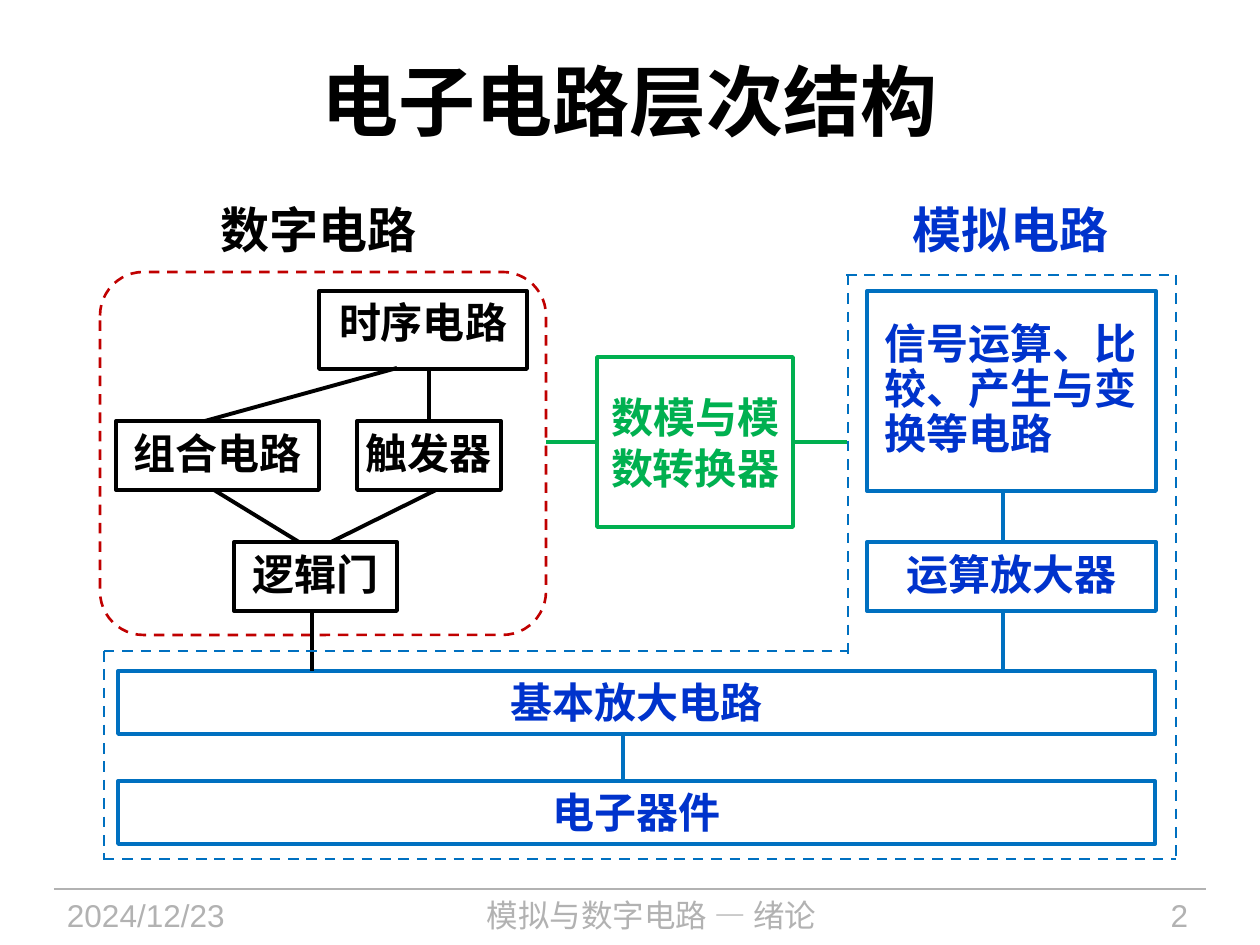
"""Build the slide on the layered structure of electronic circuits."""
from pptx import Presentation, util as u
from pptx.dml.color import RGBColor
from pptx.enum import dml, shapes, text
from pptx.oxml.ns import qn

PX = 914400 / 126
BLACK, NAVY, BLUE, GREEN, RED, GREY = "000000", "0033CC", "0070C0", "00B050", "C00000", "B2B2B2"
LEFT, MID, RIGHT = text.PP_ALIGN.LEFT, text.PP_ALIGN.CENTER, text.PP_ALIGN.RIGHT
TOP, HALF = text.MSO_ANCHOR.TOP, text.MSO_ANCHOR.MIDDLE


def rgb(code):
    return RGBColor.from_string(code)


def write(shape, words, size, color, bold=True, align=MID, anchor=TOP, pad=(13, 6), wrap=True):
    frame = shape.text_frame
    frame.word_wrap = wrap
    frame.vertical_anchor = anchor
    frame.margin_left = frame.margin_right = int(pad[0] * PX)
    frame.margin_top = frame.margin_bottom = int(pad[1] * PX)
    par = frame.paragraphs[0]
    par.text = words
    par.alignment = align
    par.font.name = "Arial"
    par.font.size = u.Pt(size)
    par.font.bold = bold
    par.font.color.rgb = rgb(color)
    return par


deck = Presentation()
deck.slide_width, deck.slide_height = u.Inches(10), u.Inches(7.5)
slide = deck.slides.add_slide(deck.slide_layouts[6])

labels = [
    ("2024/12/23", (54, 890, 237, 55), 18, GREY, False, LEFT, TOP),
    ("模拟与数字电路 — 绪论", (314, 890, 675, 55), 18, GREY, False, MID, TOP),
    ("2", (1033, 890, 168, 55), 18, GREY, False, RIGHT, TOP),
    ("电子电路层次结构", (63, 21, 1134, 158), 44, BLACK, True, MID, HALF),
    ("模拟电路", (855, 194, 311, 74), 28, NAVY, True, MID, TOP),
    ("数字电路", (180, 194, 277, 74), 28, BLACK, True, MID, TOP),
]
for words, area, size, color, bold, align, anchor in labels:
    label = slide.shapes.add_textbox(*[int(n * PX) for n in area])
    write(label, words, size, color, bold, align, anchor)

blocks = [
    ("基本放大电路", (118, 671, 1037, 63), BLUE, NAVY, MID, TOP, (13, 6), True),
    ("电子器件", (118, 781, 1037, 63), BLUE, NAVY, MID, TOP, (13, 6), True),
    ("运算放大器", (867, 542, 289, 69), BLUE, NAVY, MID, TOP, (13, 6), False),
    ("信号运算、比较、产生与变换等电路", (867, 291, 289, 200), BLUE, NAVY, LEFT, HALF, (18, 0), True),
    ("逻辑门", (234, 542, 163, 69), BLACK, BLACK, MID, TOP, (13, 6), False),
    ("触发器", (357, 421, 144, 69), BLACK, BLACK, MID, TOP, (13, 6), False),
    ("组合电路", (116, 421, 203, 69), BLACK, BLACK, MID, TOP, (0, 6), True),
    ("时序电路", (319, 291, 208, 78), BLACK, BLACK, MID, TOP, (0, 6), True),
    ("数模与模数转换器", (597, 357, 196, 170), GREEN, GREEN, MID, HALF, (0, 0), True),
    ("", (100, 272, 446, 363), RED, BLACK, MID, TOP, (0, 0), True),
]
boxes = {}
for words, area, edge, color, align, anchor, pad, wrap in blocks:
    kind = shapes.MSO_SHAPE.RECTANGLE if words else shapes.MSO_SHAPE.ROUNDED_RECTANGLE
    box = slide.shapes.add_shape(kind, *[int(n * PX) for n in area])
    box.shadow.inherit = False
    box.fill.background()
    box.line.color.rgb = rgb(edge)
    box.line.width = u.Pt(2.25)
    if words:
        par = write(box, words, 24, color, True, align, anchor, pad, wrap)
        if align == LEFT:
            par.line_spacing = 0.9
    else:
        box.adjustments[0] = 0.12
        box.line.width = u.Pt(1.5)
        box.line.dash_style = dml.MSO_LINE.DASH
    boxes[words] = box

wires = [
    ((54, 889, 1206, 889), GREY, 0.75, False),
    ((1003, 491, 1003, 542), BLUE, 2.25, False),
    ((1003, 611, 1003, 671), BLUE, 2.25, False),
    ((623, 734, 623, 781), BLUE, 2.25, False),
    ((312, 611, 312, 671), BLACK, 2.25, False),
    ((436, 490, 331, 542), BLACK, 2.25, False),
    ((429, 369, 429, 421), BLACK, 2.25, False),
    ((397, 368, 205, 421), BLACK, 2.25, False),
    ((214, 490, 299, 542), BLACK, 2.25, False),
    ((848, 275, 848, 654), BLUE, 1.5, True),
    ((1176, 275, 1176, 860), BLUE, 1.5, True),
    ((104, 651, 104, 860), BLUE, 1.5, True),
    ((104, 859, 1176, 859), BLUE, 1.5, True),
    ((104, 651, 848, 651), BLUE, 1.5, True),
    ((846, 275, 1176, 275), BLUE, 1.5, True),
    ((597, 442, 546, 442), GREEN, 2.25, False),
    ((793, 442, 847, 442), GREEN, 2.25, False),
]
lines = {}
for ends, color, width, dash in wires:
    wire = slide.shapes.add_connector(shapes.MSO_CONNECTOR.STRAIGHT, *[int(n * PX) for n in ends])
    wire.line.color.rgb = rgb(color)
    wire.line.width = u.Pt(width)
    if dash:
        wire.line.dash_style = dml.MSO_LINE.DASH
    props = wire._element.spPr
    props.append(props.makeelement(qn("a:effectLst"), {}))
    lines[ends[:2]] = wire

lines[429, 369].end_connect(boxes["触发器"], 0)
lines[597, 442].begin_connect(boxes["数模与模数转换器"], 1)
lines[793, 442].begin_connect(boxes["数模与模数转换器"], 3)

deck.save("out.pptx")
